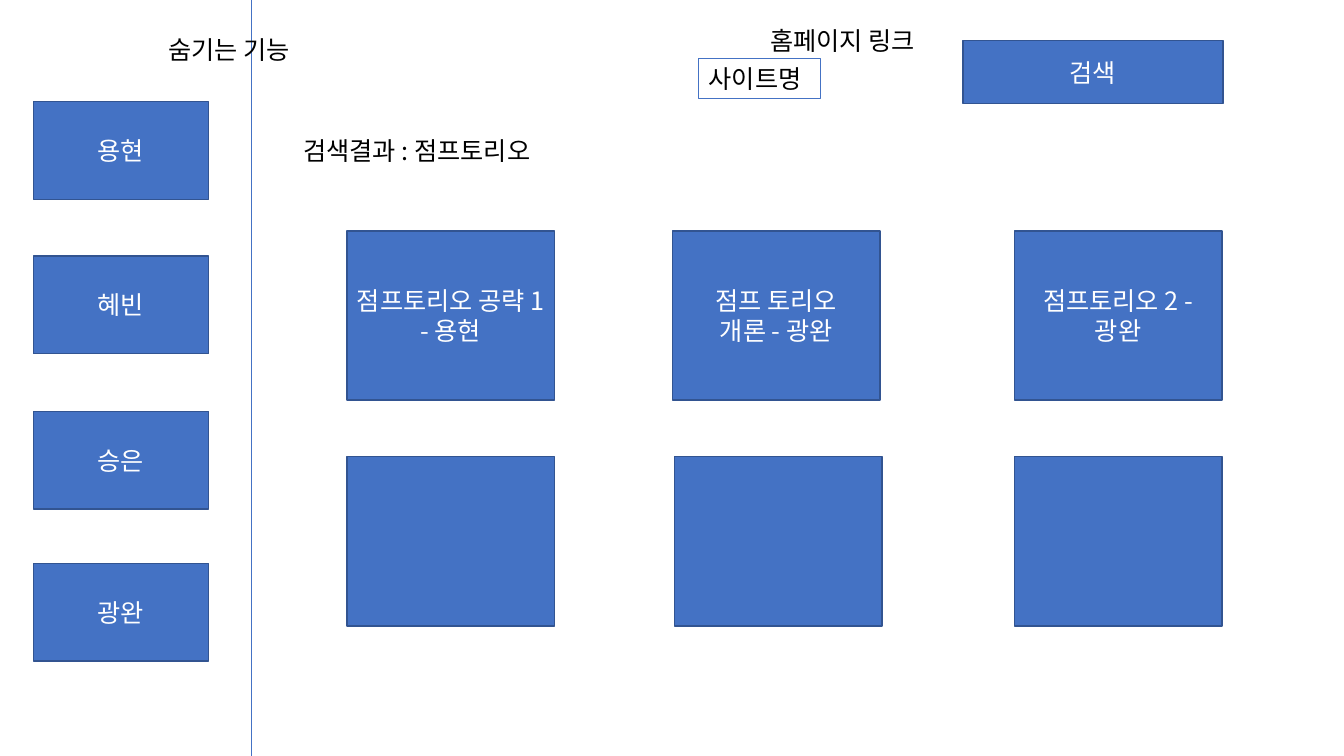
from lxml.etree import SubElement
from pptx import Presentation
from pptx.dml.color import RGBColor
from pptx.enum.shapes import MSO_CONNECTOR, MSO_SHAPE
from pptx.enum.text import MSO_ANCHOR, MSO_AUTO_SIZE, PP_ALIGN
from pptx.oxml.ns import qn
from pptx.util import Inches, Pt

FONT = "Noto Sans CJK KR"
COLORS = {"blue": "4472C4", "edge": "325491", "white": "FFFFFF", "black": "000000"}

# Content
SITE_NAME = ("사이트명", 6.93, 0.58, 1.21)
LABELS = [
    ("숨기는 기능", 1.57, 0.29, 1.55),
    ("검색결과 : 점프토리오", 2.91, 1.29, 2.71),
    ("홈페이지 링크", 7.54, 0.2, 1.81),
]
MEMBERS = [("용현", 1.01), ("혜빈", 2.54), ("승은", 4.08), ("광완", 5.59)]
RESULT_ROWS = [
    (2.29, [("점프토리오 공략 1 - 용현", 3.44), ("점프 토리오 개론 - 광완", 6.67),
            ("점프토리오 2 - 광완", 10.06)]),
    (4.53, [("", 3.44), ("", 6.69), ("", 10.06)]),
]
MEMBER_SIZE = (1.74, 0.97)
RESULT_SIZE = (2.06, 1.68)
LABEL_HEIGHT = 0.4
DIVIDER_X = 2.49

prs = Presentation()
prs.slide_width, prs.slide_height = Inches(13.33), Inches(7.5)
slide = prs.slides.add_slide(prs.slide_layouts[6])
shapes = slide.shapes


def rgb(name):
    return RGBColor.from_string(COLORS[name])


def write(tf, text, color, align):
    p = tf.paragraphs[0]
    p.alignment = align
    if text:
        r = p.add_run()
        r.text = text
        r.font.size = Pt(18)
        r.font.name = FONT
        r.font.color.rgb = rgb(color)
        SubElement(r.font._element, qn("a:ea"), typeface=FONT)


def add_box(text, x, y, w, h):
    sp = shapes.add_shape(MSO_SHAPE.RECTANGLE, *map(Inches, (x, y, w, h)))
    sp.shadow.inherit = False
    sp.fill.solid()
    sp.fill.fore_color.rgb = rgb("blue")
    sp.line.color.rgb = rgb("edge")
    sp.line.width = Pt(1)
    sp.text_frame.word_wrap = True
    sp.text_frame.vertical_anchor = MSO_ANCHOR.MIDDLE
    write(sp.text_frame, text, "white", PP_ALIGN.CENTER)


def add_label(text, x, y, w):
    sp = shapes.add_textbox(*map(Inches, (x, y, w, LABEL_HEIGHT)))
    sp.text_frame.word_wrap = False
    sp.text_frame.auto_size = MSO_AUTO_SIZE.SHAPE_TO_FIT_TEXT
    write(sp.text_frame, text, "black", PP_ALIGN.LEFT)
    return sp


# Site name in an outlined frame
site = add_label(*SITE_NAME)
site.line.color.rgb = rgb("blue")
site.line.width = Pt(0.75)

# Sidebar divider
divider = shapes.add_connector(MSO_CONNECTOR.STRAIGHT, Inches(DIVIDER_X), 0,
                               Inches(DIVIDER_X), prs.slide_height)
divider.line.color.rgb = rgb("blue")
divider.line.width = Pt(0.5)
SubElement(divider._element.spPr, qn("a:effectLst"))

# Sidebar members
for name, y in MEMBERS:
    add_box(name, 0.33, y, *MEMBER_SIZE)

# Search results
for y, cards in RESULT_ROWS:
    for text, x in cards:
        add_box(text, x, y, *RESULT_SIZE)

# Labels and search button
for label in LABELS:
    add_label(*label)
add_box("검색", 9.55, 0.4, 2.58, 0.63)

prs.save("out.pptx")
